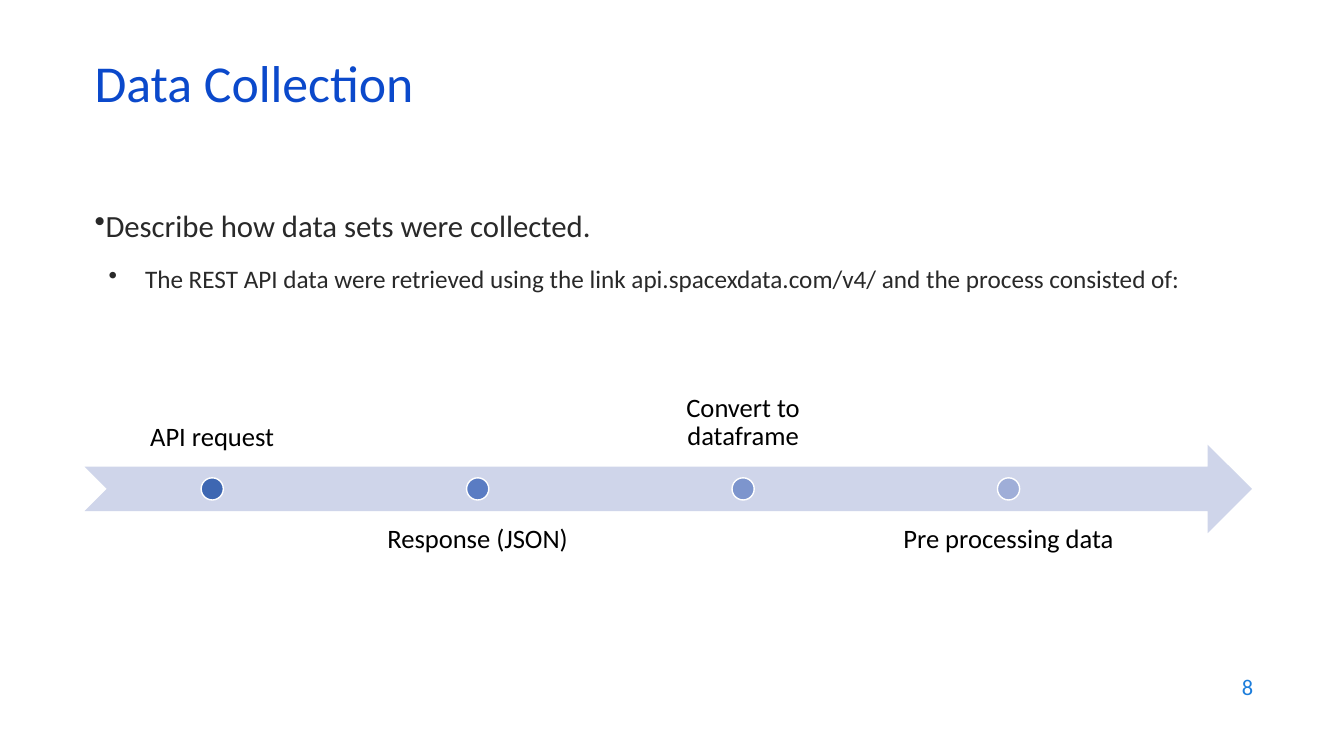
from lxml.etree import SubElement
from pptx import Presentation
from pptx.dml.color import RGBColor
from pptx.enum.shapes import MSO_SHAPE
from pptx.enum.text import MSO_ANCHOR, PP_ALIGN
from pptx.oxml.ns import qn
from pptx.util import Inches, Pt

W, H = Inches(13.33), Inches(7.5)
THEME = {
    "font": "Calibri",
    "title": (37, "0B49CB"),
    "lead": (22, "292929"),
    "detail": (18, "292929"),
    "label": (19, "000000"),
    "number": (16, "1C7DDB"),
    "arrow": "CFD5EA",
    "outline": "FFFFFF",
    "dots": ("3E67B2", "5A7CC3", "7D95CD", "9FAED8"),
}
LEFT, WIDTH = 6.3, 86.25
AXIS, BAND = 64.67, 11.73
FIRST, STEP = 15.79, 19.75
LABEL_W, LABEL_TOPS = 18.83, (50, 67.6)
DOT = Inches(0.22)
STEPS = ("API request", "Response (JSON)", "Convert to dataframe", "Pre processing data")
BODY = (
    ("Describe how data sets were collected.", "lead", (0, 0), {}),
    ("The REST API data were retrieved using the link api.spacexdata.com/v4/ "
     "and the process consisted of:", "detail", (0.5, -0.36), {"space_before": Pt(14)}),
)


def area(x, y, w, h):
    """Turn percentages of the slide into a left, top, width, height tuple."""
    return tuple(round(v * side / 100) for v, side in ((x, W), (y, H), (w, W), (h, H)))


def apply(target, values):
    """Set every attribute named in a dict of format values."""
    for name, value in values.items():
        setattr(target, name, value)


def write(p, text, style, **layout):
    """Fill a paragraph with one run in a theme style."""
    size, color = THEME[style]
    r = p.add_run()
    r.text = text
    apply(p, layout)
    apply(r.font, {"name": THEME["font"], "size": Pt(size)})
    r.font.color.rgb = RGBColor.from_string(color)


def add_text_frame(s, box, **frame):
    """Add a wrapping text box and return its text frame."""
    tf = s.shapes.add_textbox(*area(*box)).text_frame
    apply(tf, {"word_wrap": True, **frame})
    return tf


def add_bullet(p, margin, indent):
    """Give a paragraph a round bullet and a hanging indent in inches."""
    pPr = p._p.get_or_add_pPr()
    pPr.set("marL", str(Inches(margin)))
    pPr.set("indent", str(Inches(indent)))
    SubElement(pPr, qn("a:buChar")).set("char", "•")


def add_body(s):
    """Add the bulleted description."""
    tf = add_text_frame(s, (LEFT, 26.67, WIDTH, 18.93))
    for i, (text, style, indents, layout) in enumerate(BODY):
        p = tf.add_paragraph() if i else tf.paragraphs[0]
        add_bullet(p, *indents)
        write(p, text, style, **layout)


def add_filled(s, kind, box, fill, outline=None):
    """Add a flat preset shape with an optional one-point outline."""
    sp = s.shapes.add_shape(kind, *box)
    sp.shadow.inherit = False
    sp.fill.solid()
    sp.fill.fore_color.rgb = RGBColor.from_string(fill)
    if outline:
        sp.line.color.rgb = RGBColor.from_string(outline)
        sp.line.width = Pt(1)
    else:
        sp.line.fill.background()


def add_step(s, i, text, color):
    """Add one process dot with its label above or below the arrow."""
    center = FIRST + i * STEP
    sides = ("left", "top", "right", "bottom")
    tf = add_text_frame(
        s, (center - LABEL_W / 2, LABEL_TOPS[i % 2], LABEL_W, BAND),
        vertical_anchor=MSO_ANCHOR.TOP if i % 2 else MSO_ANCHOR.BOTTOM,
        **{f"margin_{side}": Inches(0.15) for side in sides})
    write(tf.paragraphs[0], text, "label", alignment=PP_ALIGN.CENTER, line_spacing=0.9)
    x, y = area(center, AXIS, 0, 0)[:2]
    add_filled(s, MSO_SHAPE.OVAL, (x - DOT // 2, y - DOT // 2, DOT, DOT),
               color, THEME["outline"])


def main():
    """Build and save the slide."""
    prs = Presentation()
    apply(prs, {"slide_width": W, "slide_height": H})
    s = prs.slides.add_slide(prs.slide_layouts[6])
    middle = {"vertical_anchor": MSO_ANCHOR.MIDDLE}
    tf = add_text_frame(s, (LEFT, 7.87, WIDTH, 8), **middle)
    write(tf.paragraphs[0], "Data Collection", "title", line_spacing=0.7)
    add_body(s)
    add_filled(s, MSO_SHAPE.NOTCHED_RIGHT_ARROW,
               area(LEFT, AXIS - BAND / 2, 86.85, BAND), THEME["arrow"])
    for i, (text, color) in enumerate(zip(STEPS, THEME["dots"])):
        add_step(s, i, text, color)
    tf = add_text_frame(s, (71.48, 87.87, 22.5, 5.87), **middle)
    write(tf.paragraphs[0], "8", "number", alignment=PP_ALIGN.RIGHT)
    prs.save("out.pptx")


if __name__ == "__main__":
    main()
